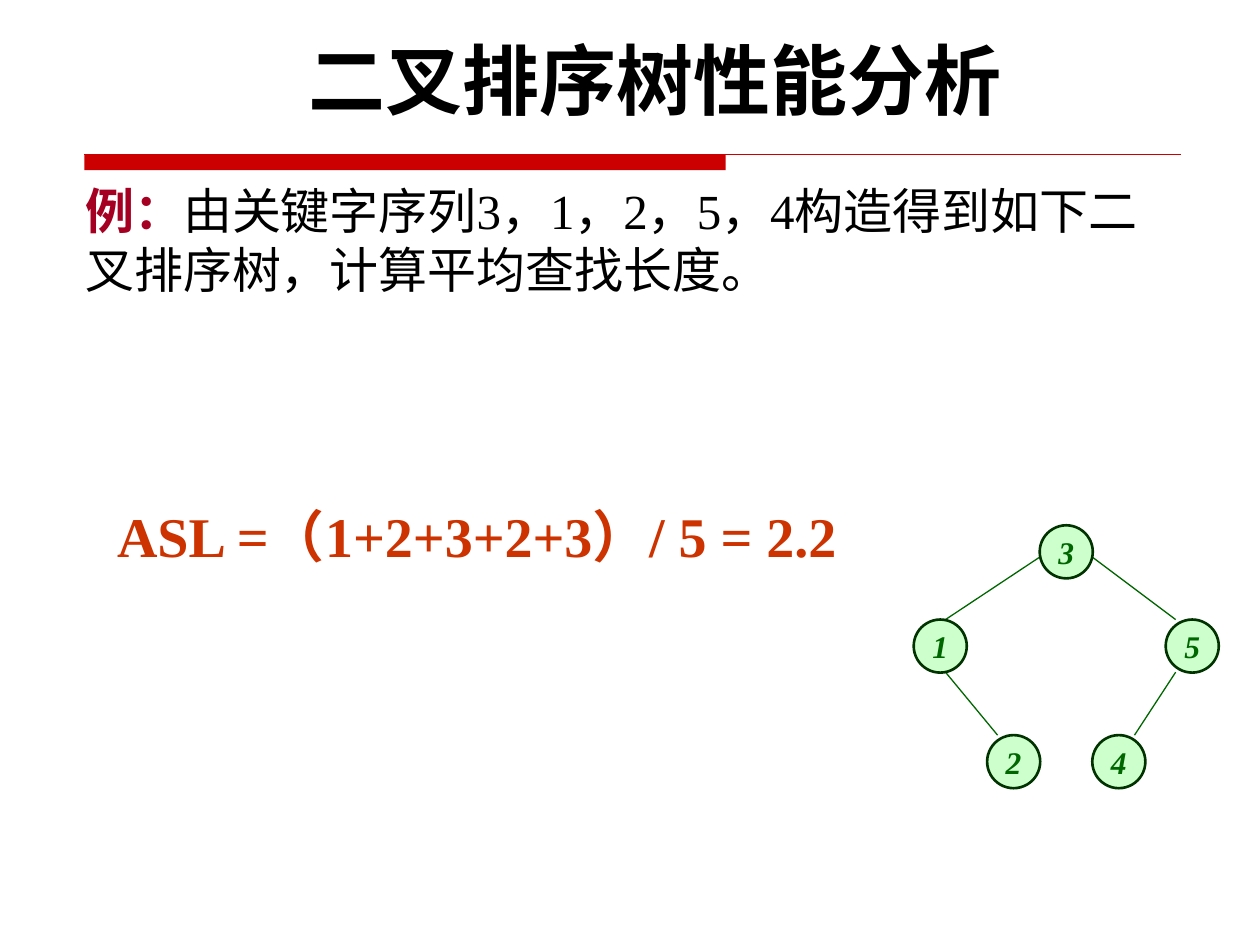
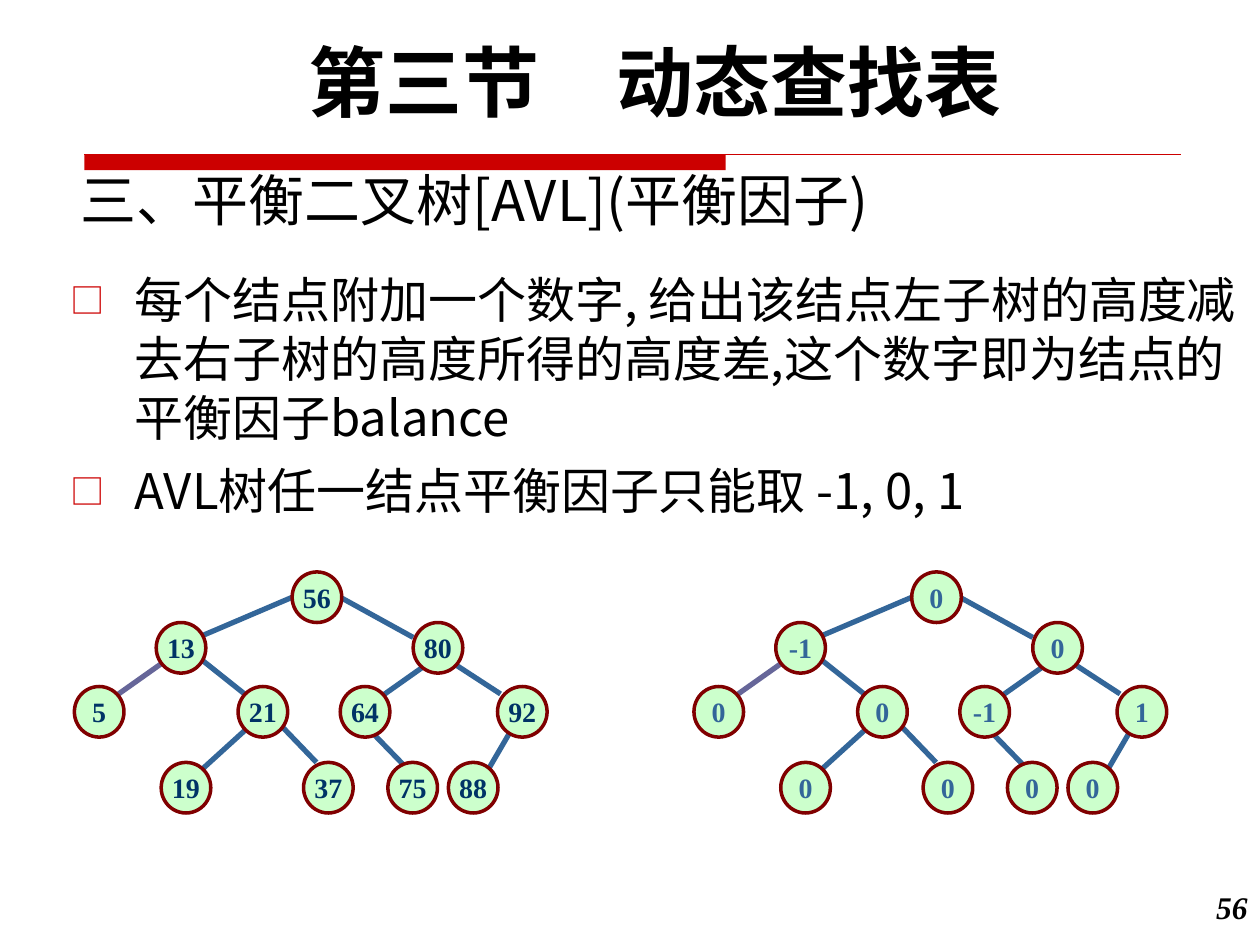
"""Build two lecture slides on binary search trees and balance factors."""
from dataclasses import dataclass

from lxml import etree
from pptx import Presentation
from pptx.dml.color import RGBColor
from pptx.enum import lang, shapes, text
from pptx.oxml import ns
from pptx.util import Cm, Pt

LEFT, CENTER, RIGHT = text.PP_ALIGN.LEFT, text.PP_ALIGN.CENTER, text.PP_ALIGN.RIGHT


@dataclass(frozen=True)
class Theme:
    """Colours, fonts and type sizes of the deck."""
    serif: str = "Times New Roman"
    sans: str = "Noto Sans CJK SC"
    display: str = "Cabin"
    black: str = "000000"
    rule: str = "CC0000"
    example: str = "A50021"
    formula: str = "CC3300"
    node_fill: str = "CCFFCC"
    title_size: int = 44
    heading_size: int = 32
    body_size: int = 28
    small_size: int = 18
    key_size: int = 16
    leading: float = 1.2


@dataclass(frozen=True)
class TreeStyle:
    """Format of the nodes and edges of a tree."""
    node: tuple
    outline: str
    outline_width: float
    key: dict
    edge: str
    edge_width: float
    accent: str


THEME = Theme()


def type_style(name, size, color=THEME.black, bold=False, italic=False):
    """Return a dict of character format values."""
    return dict(name=name, size=size, color=color, bold=bold, italic=italic)


TITLE = type_style(THEME.display, THEME.title_size, bold=True)
HEADING = type_style(THEME.sans, THEME.heading_size)
BODY = type_style(THEME.sans, THEME.body_size)
PROBLEM = type_style(THEME.serif, THEME.body_size)
LABEL = type_style(THEME.serif, THEME.body_size, THEME.example, bold=True)
FORMULA = type_style(THEME.serif, THEME.heading_size, THEME.formula, bold=True)
PAGE = type_style(THEME.serif, THEME.small_size, bold=True, italic=True)
SEARCH_KEY = type_style(THEME.serif, THEME.small_size, "006600", True, True)
AVL_KEY = type_style(THEME.serif, THEME.key_size, "003366", bold=True)
BALANCE_KEY = type_style(THEME.serif, THEME.key_size, "336699", bold=True)

SEARCH_STYLE = TreeStyle((1.07, 1.07), "003300", 1.5, SEARCH_KEY, "006600", 0.75, "006600")
SEARCH_NODES = [(2.54, 0), (0, 1.9), (5.08, 1.9), (1.48, 4.23), (3.6, 4.23)]
SEARCH_EDGES = [
    (2.54, 0.64, 0.64, 1.9), (3.6, 0.64, 5.28, 1.9),
    (0.64, 2.96, 1.69, 4.23), (5.28, 2.96, 4.45, 4.23),
]

AVL_LEVELS = [
    (0, [4.39]),
    (1.02, [1.65, 6.83]),
    (2.31, [0, 3.3, 5.36, 8.53]),
    (3.84, [1.75, 4.62, 6.32, 7.54]),
]
AVL_NODES = [(x, y) for y, row in AVL_LEVELS for x in row]
AVL_ACCENT = (1.75, 1.85, 0.89, 2.46)
AVL_EDGES = [
    AVL_ACCENT,
    (4.39, 0.51, 2.54, 1.3), (5.36, 0.51, 6.83, 1.32),
    (2.54, 1.75, 3.43, 2.46), (7.19, 1.8, 6.1, 2.57), (7.7, 1.88, 8.59, 2.46),
    (3.43, 3.2, 2.34, 4.19), (4.14, 3.07, 4.88, 3.84),
    (5.84, 3.07, 6.83, 4.09), (9.02, 2.82, 8.28, 4.09),
]


def rgb(color):
    """Return a colour object for a hex value."""
    return RGBColor.from_string(color)


def add_run(paragraph, words, style):
    """Append words in the given style, with a matching East Asian font."""
    run = paragraph.add_run()
    run.text = words
    font = run.font
    values = dict(style, size=Pt(style["size"]),
                  language_id=lang.MSO_LANGUAGE_ID.SIMPLIFIED_CHINESE)
    font.color.rgb = rgb(values.pop("color"))
    for key, value in values.items():
        setattr(font, key, value)
    latin = run._r.get_or_add_rPr().find(ns.qn("a:latin"))
    east_asian = etree.Element(ns.qn("a:ea"), typeface=THEME.display)
    latin.addnext(east_asian)


def add_text(slide, box, paragraphs, align=LEFT, leading=THEME.leading,
             anchor=text.MSO_ANCHOR.TOP, gap=0):
    """Place paragraphs of styled runs in a box and return its text frame."""
    frame = slide.shapes.add_textbox(*map(Cm, box)).text_frame
    frame.word_wrap = True
    frame.vertical_anchor = anchor
    for index, runs in enumerate(paragraphs):
        paragraph = frame.add_paragraph() if index else frame.paragraphs[0]
        size = runs[0][1]["size"]
        values = dict(alignment=align, line_spacing=Pt(round(size * leading, 1)),
                      space_before=Pt(gap if index else 0))
        for key, value in values.items():
            setattr(paragraph, key, value)
        for words, style in runs:
            add_run(paragraph, words, style)
    return frame


def add_bullet(paragraph, indent):
    """Give a paragraph a hollow square bullet with a hanging indent."""
    properties = paragraph._p.get_or_add_pPr()
    properties.set("marL", str(Cm(indent)))
    properties.set("indent", str(-Cm(indent)))
    color = etree.SubElement(properties, ns.qn("a:buClr"))
    etree.SubElement(color, ns.qn("a:srgbClr"), val=THEME.rule)
    for tag, values in (("a:buSzPct", {"val": "70000"}),
                        ("a:buFont", {"typeface": THEME.sans}),
                        ("a:buChar", {"char": "□"})):
        etree.SubElement(properties, ns.qn(tag), **values)


def add_line(parent, ends, color, width):
    """Draw a straight line without a shadow."""
    line = parent.shapes.add_connector(shapes.MSO_CONNECTOR.STRAIGHT, *map(Cm, ends))
    line.line.color.rgb = rgb(color)
    line.line.width = Pt(width)
    etree.SubElement(line._element.spPr, ns.qn("a:effectLst"))


def add_header(slide, title, top):
    """Place the slide title above the red band and its hairline."""
    add_text(slide, (1.47, top, 23.5, 2.13), [[(title, TITLE)]], CENTER)
    left, band_top = 1.7, 3.12
    band = slide.shapes.add_shape(shapes.MSO_SHAPE.RECTANGLE,
                                  *map(Cm, (left, band_top, 12.93, 0.31)))
    band.shadow.inherit = False
    band.fill.solid()
    band.fill.fore_color.rgb = rgb(THEME.rule)
    band.line.fill.background()
    add_line(slide, (left, band_top, left + 22.1, band_top), THEME.rule, 0.75)


def add_node(tree, left, top, key, style):
    """Draw one round node with its key."""
    node = tree.shapes.add_shape(shapes.MSO_SHAPE.OVAL,
                                 *map(Cm, (left, top, *style.node)))
    node.shadow.inherit = False
    node.fill.solid()
    node.fill.fore_color.rgb = rgb(THEME.node_fill)
    node.line.color.rgb = rgb(style.outline)
    node.line.width = Pt(style.outline_width)
    frame = node.text_frame
    frame.word_wrap = False
    frame.vertical_anchor = text.MSO_ANCHOR.MIDDLE
    frame.paragraphs[0].alignment = CENTER
    add_run(frame.paragraphs[0], key, style.key)


def add_tree(slide, left, top, keys, nodes, edges, style):
    """Draw a tree as one group, relative to its top left corner."""
    tree = slide.shapes.add_group_shape()
    for edge in edges:
        x1, y1, x2, y2 = edge
        color = style.accent if edge == AVL_ACCENT else style.edge
        add_line(tree, (left + x1, top + y1, left + x2, top + y2), color, style.edge_width)
    for key, (x, y) in zip(keys, nodes):
        add_node(tree, left + x, top + y, key, style)


def build_search_length(slide):
    """Fill the slide on the average search length."""
    add_header(slide, "二叉排序树性能分析", 0.53)
    add_text(slide, (1.47, 3.51, 22.23, 2.64), [[
        ("例：", LABEL),
        ("由关键字序列3，1，2，5，4构造得到如下二叉排序树，计算平均查找长度。", PROBLEM)]])
    add_text(slide, (2.11, 9.78, 15.88, 1.7),
             [[("ASL =（1+2+3+2+3）/ 5 = 2.2", FORMULA)]], leading=1.38)
    add_tree(slide, 18.42, 10.59, "31524", SEARCH_NODES, SEARCH_EDGES, SEARCH_STYLE)


def build_balance_factor(slide):
    """Fill the slide on AVL trees and balance factors."""
    add_header(slide, "第三节　动态查找表", 0.58)
    add_text(slide, (1.37, 3.73, 17.35, 1.09),
             [[("三、平衡二叉树[AVL](平衡因子)", HEADING)]], anchor=text.MSO_ANCHOR.BOTTOM)
    points = add_text(slide, (1.17, 5.31, 24.35, 5.41), [
        [("每个结点附加一个数字, 给出该结点左子树的高度减去右子树的高度所得的高度差,"
          "这个数字即为结点的平衡因子balance", BODY)],
        [("AVL树任一结点平衡因子只能取 -1, 0, 1", BODY)]], gap=8.4)
    for point in points.paragraphs:
        add_bullet(point, 1.3)
    trees = [
        (1.5, "56 13 80 5 21 64 92 19 37 75 88", AVL_KEY),
        (13.99, "0 -1 0 0 0 -1 1 0 0 0 0", BALANCE_KEY),
    ]
    for left, keys, key_style in trees:
        style = TreeStyle((1, 1.02), "800000", 2, key_style, "336699", 3, "666699")
        add_tree(slide, left, 11.53, keys.split(), AVL_NODES, AVL_EDGES, style)
    add_text(slide, (23.7, 17.78, 1.7, 1.27), [[("56", PAGE)]], RIGHT)


def main():
    """Build and save the deck."""
    deck = Presentation()
    deck.slide_width, deck.slide_height = Cm(25.4), Cm(19.05)
    blank = deck.slide_layouts[6]
    for build in (build_search_length, build_balance_factor):
        build(deck.slides.add_slide(blank))
    deck.save("out.pptx")


if __name__ == "__main__":
    main()
